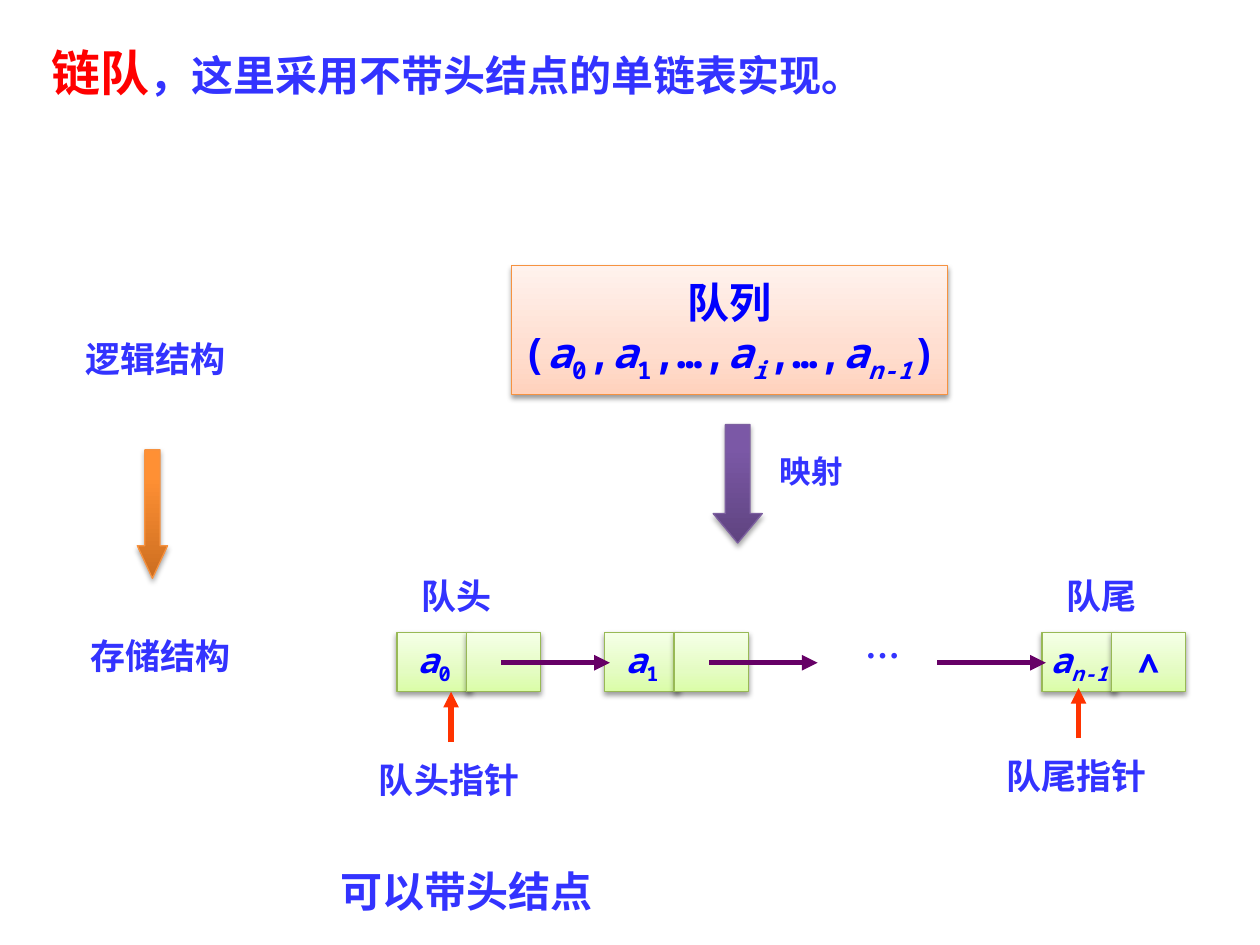
from pptx import Presentation
from pptx import util as u
from pptx.dml.color import RGBColor
from pptx.enum import shapes, text
from pptx.oxml import ns
from lxml import etree

CHINESE, MONO, TITLE = "Noto Sans CJK SC", "Noto Sans Mono", "Noto Sans CJK JP"
LABEL, CODE, LINK, POINTER = "3333FF", "0000FF", "660066", "FF3300"
PEACH = [(0, "FFD2BD"), (35, "FFDED0"), (100, "FFF2ED")]
GREEN = [(0, "DAFDA7"), (35, "E4FCC2"), (100, "F5FFE7")]
PURPLE = [(0, "5F4480"), (80, "7B58A6"), (100, "7C57A8")]
ORANGE = [(0, "CC6E20"), (80, "FF9034"), (100, "FF9136")]
CENTER = text.PP_ALIGN.CENTER


def color(value):
    return RGBColor.from_string(value)


def child(parent, tag, **attributes):
    return etree.SubElement(parent, ns.qn(tag), {name: str(value) for name, value in attributes.items()})


def symbol(name, index):
    return [(name, True, 0), (index, not index.isdigit(), -25)]


class QueueSlide:
    """Draws styled elements of the linked queue diagram on one slide."""

    def __init__(self, slide):
        self.slide = slide

    def run(self, paragraph, words, size, font, tint, italic=False, baseline=0):
        run = paragraph.add_run()
        run.text = words
        run.font.size = u.Pt(size)
        run.font.name = font
        run.font.bold = True
        run.font.italic = italic
        run.font.color.rgb = color(tint)
        properties = run.font._element
        child(properties, "a:ea", typeface=font)
        if baseline:
            properties.set("baseline", str(baseline * 1000))

    def label(self, left, top, width, height, runs, align=CENTER):
        box = self.slide.shapes.add_textbox(*map(u.Inches, (left, top, width, height)))
        box.text_frame.word_wrap = True
        paragraph = box.text_frame.paragraphs[0]
        paragraph.alignment = align
        for words, size, font, tint in runs:
            self.run(paragraph, words, size, font, tint)

    def caption(self, left, top, width, words, size=20, height=0.44, align=CENTER):
        self.label(left, top, width, height, [(words, size, CHINESE, LABEL)], align)

    def shape(self, kind, left, top, width, height, stops, border, opacity, distance):
        shape = self.slide.shapes.add_shape(kind, *map(u.Inches, (left, top, width, height)))
        shape.fill.gradient()
        shape.fill.gradient_angle = 90
        stop_list = shape._element.spPr.find(".//" + ns.qn("a:gsLst"))
        for stop in list(stop_list):
            stop_list.remove(stop)
        for position, tint in stops:
            child(child(stop_list, "a:gs", pos=position * 1000), "a:srgbClr", val=tint)
        shape.line.color.rgb = color(border)
        shape.line.width = u.Pt(0.75)
        shape.shadow.inherit = False
        effects = shape._element.spPr.find(ns.qn("a:effectLst"))
        shadow = child(effects, "a:outerShdw", blurRad=u.Pt(3.1), dist=u.Pt(distance),
                       dir=5400000, rotWithShape=0)
        child(child(shadow, "a:srgbClr", val="000000"), "a:alpha", val=opacity * 1000)
        return shape

    def box(self, left, top, width, height, stops, border, lines=(), size=20):
        shape = self.shape(shapes.MSO_SHAPE.RECTANGLE, left, top, width, height, stops, border, 38, 1.6)
        frame = shape.text_frame
        frame.word_wrap = False
        frame.vertical_anchor = text.MSO_ANCHOR.MIDDLE
        for number, runs in enumerate(lines):
            paragraph = frame.add_paragraph() if number else frame.paragraphs[0]
            paragraph.alignment = CENTER
            for words, italic, baseline in runs:
                self.run(paragraph, words, size, MONO, CODE, italic, baseline)

    def node(self, left, data, link=()):
        for offset, runs in ((0, data), (0.55, link)):
            self.box(left + offset, 5.02, 0.59, 0.47, GREEN, "98B955", [runs])

    def block_arrow(self, left, top, width, height, stops, border, head):
        shape = self.shape(shapes.MSO_SHAPE.DOWN_ARROW, left, top, width, height, stops, border, 35, 1.8)
        shape.adjustments[0] = 0.5
        shape.adjustments[1] = head

    def arrow(self, start, end, tint):
        line = self.slide.shapes.add_connector(shapes.MSO_CONNECTOR.STRAIGHT, *map(u.Inches, start + end))
        line.line.color.rgb = color(tint)
        line.line.width = u.Pt(3)
        child(line.line._get_or_add_ln(), "a:tailEnd", type="triangle")
        child(line._element.spPr, "a:effectLst")


def main():
    presentation = Presentation()
    presentation.slide_width = u.Inches(10)
    presentation.slide_height = u.Inches(7.5)
    queue = QueueSlide(presentation.slides.add_slide(presentation.slide_layouts[6]))
    left = text.PP_ALIGN.LEFT

    sequence = [("(", False, 0), *symbol("a", "0"), (",", False, 0), *symbol("a", "1"),
                (",…,", False, 0), *symbol("a", "i"), (",…,", False, 0),
                *symbol("a", "n-1"), (")", False, 0)]
    queue.box(4.06, 2.11, 3.46, 1.02, PEACH, "F69240", [[("队列", False, 0)], sequence], 24)
    queue.block_arrow(5.66, 3.37, 0.39, 0.94, PURPLE, "7D60A0", 0.6)
    queue.caption(6.09, 3.54, 0.93, "映射", 18, 0.4, left)
    queue.caption(0.58, 2.63, 1.84, "逻辑结构", align=left)
    queue.caption(0.62, 4.99, 1.84, "存储结构", align=left)
    queue.block_arrow(1.09, 3.57, 0.24, 1.02, ORANGE, "F69240", 1.08)

    queue.node(3.15, symbol("a", "0"))
    queue.node(4.8, symbol("a", "1"))
    queue.node(8.27, symbol("a", "n-1"), [("∧", False, 0)])
    for start in (3.98, 5.63, 7.44):
        queue.arrow((start, 5.26), (start + 0.86, 5.26), LINK)
    queue.caption(6.53, 4.99, 0.95, "…")

    for x, tip, title_left, name in ((3.58, 5.49, 3.07, "队头"), (8.56, 5.46, 8.19, "队尾")):
        queue.caption(title_left, 4.51, 1.1, name)
        queue.arrow((x, tip + 0.4), (x, tip), POINTER)
        queue.caption(x - 0.88, tip + 0.48, 1.73, name + "指针")

    queue.label(0.31, 0.29, 7.73, 0.57, [("链队", 28, TITLE, "FF0000"),
                ("，这里采用不带头结点的单链表实现。", 24, MONO, LABEL)], left)
    queue.caption(2.56, 6.82, 2.28, "可以带头结点", 24, 0.5)
    presentation.save("out.pptx")


if __name__ == "__main__":
    main()
